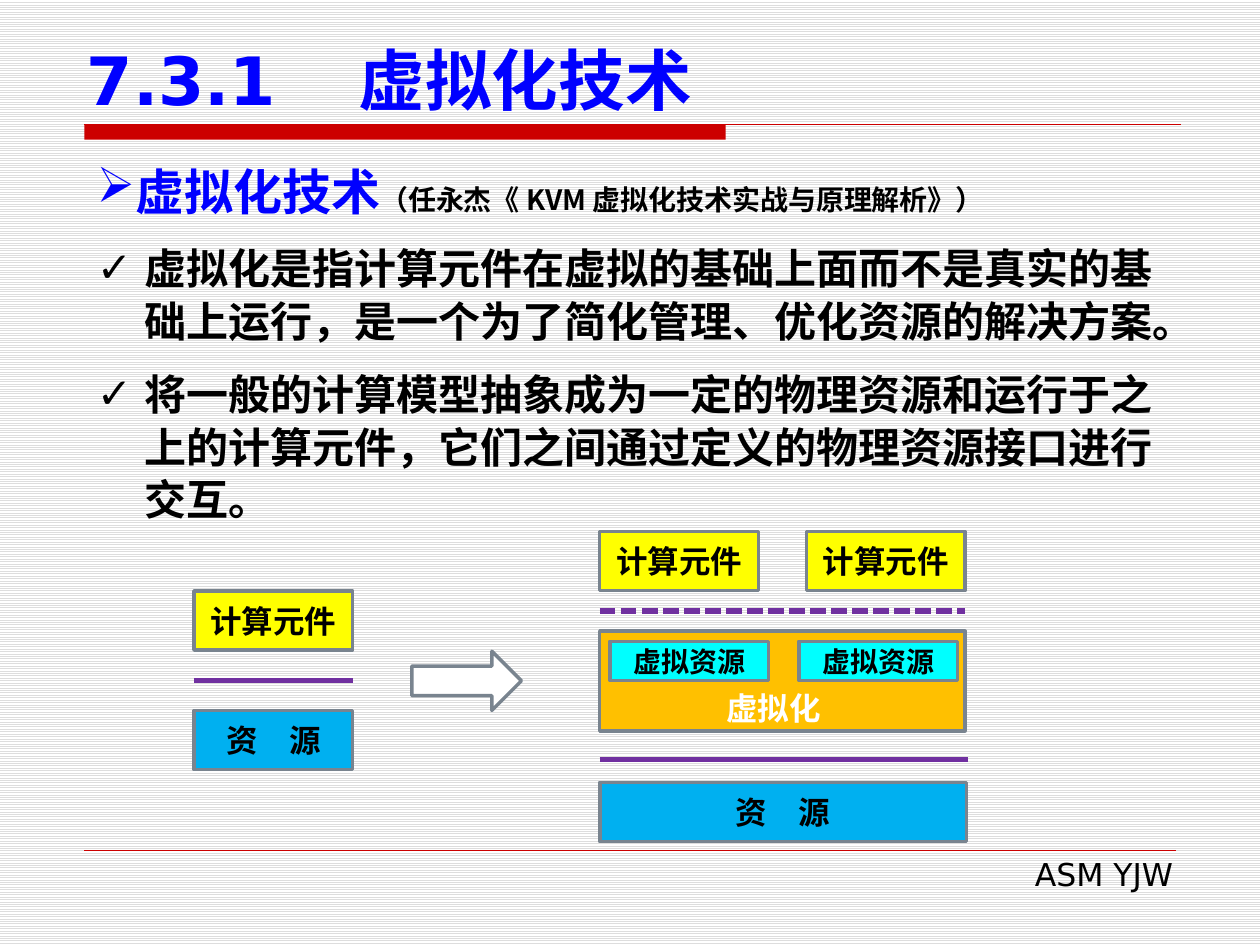
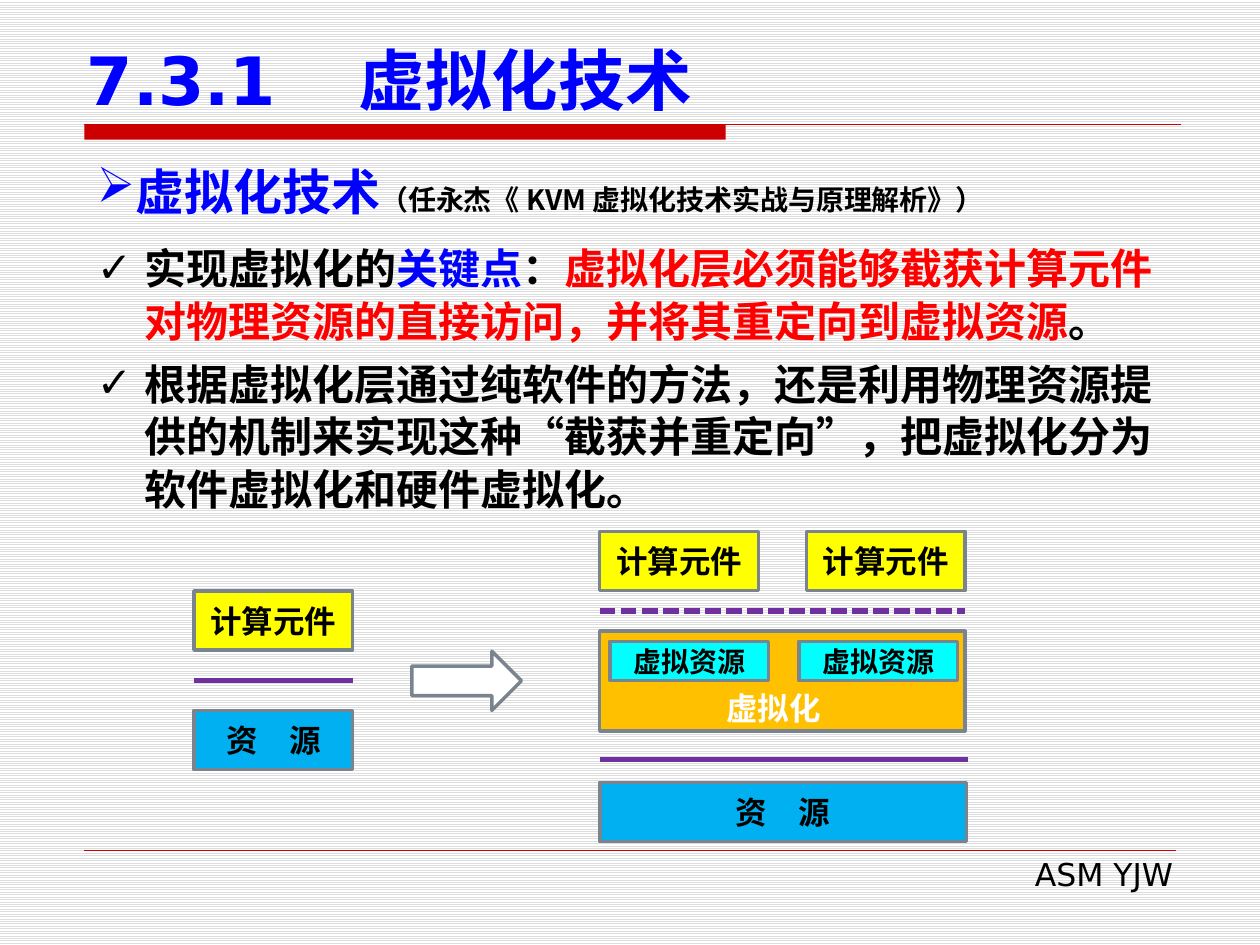
import pptx
import pptx.dml.color
import pptx.enum.dml
import pptx.enum.shapes
import pptx.enum.text
import pptx.oxml.ns
import pptx.util
from lxml import etree

Pt = pptx.util.Pt
RGBColor = pptx.dml.color.RGBColor
Align = pptx.enum.text.PP_ALIGN
Anchor = pptx.enum.text.MSO_ANCHOR
Shape = pptx.enum.shapes.MSO_SHAPE
qn = pptx.oxml.ns.qn

# Colours and fonts
BLACK = RGBColor(0x00, 0x00, 0x00)
WHITE = RGBColor(0xFF, 0xFF, 0xFF)
STRIPE = RGBColor(0xDD, 0xDD, 0xDD)
BLUE = RGBColor(0x00, 0x00, 0xFF)
RED = RGBColor(0xFF, 0x00, 0x00)
BAND_RED = RGBColor(0xCC, 0x00, 0x00)
YELLOW = RGBColor(0xFF, 0xFF, 0x00)
SKY = RGBColor(0x00, 0xB0, 0xF0)
CYAN = RGBColor(0x00, 0xFF, 0xFF)
ORANGE = RGBColor(0xFF, 0xC0, 0x00)
PURPLE = RGBColor(0x70, 0x30, 0xA0)
OUTLINE = RGBColor(0x79, 0x84, 0x8F)
LATIN_FONT = "DejaVu Sans"
CHINESE_FONT = "Noto Sans CJK SC"

# Shared measures, in points
MARGIN = 48.2
CONTENT_WIDTH = 623.5
BOX_WIDTH, BOX_HEIGHT = 90.7, 33.8

TITLE = "7.3.1　虚拟化技术"
HEADING = [("虚拟化技术", 28, LATIN_FONT, BLUE),
           ("（任永杰《KVM虚拟化技术实战与原理解析》）", 16, CHINESE_FONT, BLACK)]

# One entry per slide; each item is (space before, [(text, colour), ...])
SLIDE_ITEMS = [
    [
        (12, [("虚拟化是指计算元件在虚拟的基础上面而不是真实的基础上运行，"
               "是一个为了简化管理、优化资源的解决方案。", BLACK)]),
        (12, [("将一般的计算模型抽象成为一定的物理资源和运行于之上的计算元件，"
               "它们之间通过定义的物理资源接口进行交互。", BLACK)]),
    ],
    [
        (12, [("实现虚拟化的", BLACK), ("关键点", BLUE), ("：", BLACK),
              ("虚拟化层必须能够截获计算元件对物理资源的直接访问，"
               "并将其重定向到虚拟资源", RED), ("。", BLACK)]),
        (6, [("根据虚拟化层通过纯软件的方法，还是利用物理资源提供的机制来实现这种"
              "“截获并重定向”，把虚拟化分为软件虚拟化和硬件虚拟化。", BLACK)]),
    ],
]


def add_run(paragraph, text, size, font, color, bold=True):
    run = paragraph.add_run()
    run.text = text
    run.font.size = Pt(size)
    run.font.name = font
    run.font.bold = bold
    run.font.color.rgb = color
    if font == CHINESE_FONT:
        latin = run.font._element.find(qn("a:latin"))
        east_asian = etree.Element(qn("a:ea"), typeface=font)
        latin.addnext(east_asian)


def set_bullet(paragraph, character, indent=0):
    properties = paragraph._p.get_or_add_pPr()
    properties.set("marL", str(Pt(indent)))
    properties.set("indent", str(-Pt(indent)))
    etree.SubElement(properties, qn("a:buChar"), char=character)


def place(shape, left, top, width, height):
    shape.left, shape.top = Pt(left), Pt(top)
    shape.width, shape.height = Pt(width), Pt(height)


def add_label(shapes, left, top, width, height, align):
    text_box = shapes.add_textbox(Pt(left), Pt(top), Pt(width), Pt(height))
    text_box.text_frame.word_wrap = True
    paragraph = text_box.text_frame.paragraphs[0]
    paragraph.alignment = align
    return paragraph


def add_line(shapes, left, right, y, color, weight, dash=None):
    line = shapes.add_connector(pptx.enum.shapes.MSO_CONNECTOR.STRAIGHT,
                                Pt(left), Pt(y), Pt(right), Pt(y))
    line.line.color.rgb = color
    line.line.width = Pt(weight)
    if dash:
        line.line.dash_style = dash
    etree.SubElement(line._element.spPr, qn("a:effectLst"))


def add_block(shapes, left, top, fill, text="", width=BOX_WIDTH,
              height=BOX_HEIGHT, size=18, kind=Shape.RECTANGLE, outline=OUTLINE):
    block = shapes.add_shape(kind, Pt(left), Pt(top), Pt(width), Pt(height))
    block.shadow.inherit = False
    block.fill.solid()
    block.fill.fore_color.rgb = fill
    if outline is None:
        block.line.fill.background()
    else:
        block.line.color.rgb = outline
        block.line.width = Pt(2)
    if text:
        block.text_frame.vertical_anchor = Anchor.MIDDLE
        paragraph = block.text_frame.paragraphs[0]
        paragraph.alignment = Align.CENTER
        add_run(paragraph, text, size, LATIN_FONT, BLACK)


def set_background(master):
    fill = master.background.fill
    fill.patterned()
    fill.pattern = pptx.enum.dml.MSO_PATTERN.LIGHT_HORIZONTAL
    fill.fore_color.rgb = STRIPE
    fill.back_color.rgb = WHITE


def add_frame(slide):
    """Title band, footer rule and footer text."""
    add_block(slide.shapes, MARGIN, 71.3, BAND_RED, width=366.5, height=8.6, outline=None)
    add_line(slide.shapes, MARGIN, 674.6, 71.3, BAND_RED, 0.75)
    add_line(slide.shapes, MARGIN, 671.8, 486, BAND_RED, 0.25)
    footer = add_label(slide.shapes, 275, 485.3, 402.5, 28.8, Align.RIGHT)
    add_run(footer, "ASM YJW", 18, LATIN_FONT, BLACK, bold=False)


def fill_title(title):
    place(title, 42.5, 20.2, 652.3, 51.1)
    title.text_frame.vertical_anchor = Anchor.BOTTOM
    title.text_frame.auto_size = pptx.enum.text.MSO_AUTO_SIZE.NONE
    paragraph = title.text_frame.paragraphs[0]
    paragraph.alignment = Align.LEFT
    add_run(paragraph, TITLE, 38, LATIN_FONT, BLUE)


def add_heading(slide):
    paragraph = add_label(slide.shapes, MARGIN, 88.6, CONTENT_WIDTH, 41, Align.JUSTIFY)
    set_bullet(paragraph, "➢")
    for run in HEADING:
        add_run(paragraph, *run)


def fill_items(body, items):
    place(body, MARGIN, 133.9, CONTENT_WIDTH, 168)
    text_frame = body.text_frame
    text_frame.auto_size = pptx.enum.text.MSO_AUTO_SIZE.NONE
    for index, (space_before, runs) in enumerate(items):
        paragraph = text_frame.add_paragraph() if index else text_frame.paragraphs[0]
        paragraph.line_spacing = Pt(30)
        paragraph.space_before = Pt(space_before)
        set_bullet(paragraph, "✓", 27)
        for text, color in runs:
            add_run(paragraph, text, 24, CHINESE_FONT, color)


def add_direct_model(slide):
    """Computing element directly on a resource."""
    shapes = slide.shapes.add_group_shape().shapes
    left = 110.9
    add_block(shapes, left, 337.7, YELLOW, "计算元件")
    add_block(shapes, left, 406.1, SKY, "资　源")
    add_line(shapes, left, left + BOX_WIDTH, 388.8, PURPLE, 3)


def add_virtualized_model(slide):
    """Computing elements on a virtualization layer above the resource."""
    shapes = slide.shapes.add_group_shape().shapes
    left, width = 342.7, 208.8
    add_block(shapes, left, 447.1, SKY, "资　源", width=209.5)
    add_line(shapes, left, 553, 434.2, PURPLE, 3)
    add_block(shapes, left, 360.7, ORANGE, width=width, height=56.9)
    add_line(shapes, left, left + width, 349.2, PURPLE, 3,
             pptx.enum.dml.MSO_LINE.SQUARE_DOT)
    for element_left in (left, left + width - BOX_WIDTH):
        add_block(shapes, element_left, 303.8, YELLOW, "计算元件")
    for resource_left in (348.5, 456.5):
        add_block(shapes, resource_left, 366.5, CYAN, "虚拟资源", height=22.3, size=16)
    label = add_label(shapes, 399.6, 390.2, 85, 28.8, Align.CENTER)
    add_run(label, "虚拟化", 18, LATIN_FONT, WHITE)


def add_content_slide(presentation, items):
    slide = presentation.slides.add_slide(presentation.slide_layouts[1])
    add_frame(slide)
    fill_title(slide.shapes.title)
    add_heading(slide)
    fill_items(slide.placeholders[1], items)
    add_direct_model(slide)
    add_block(slide.shapes, 235.4, 372.2, WHITE, width=62.6, kind=Shape.RIGHT_ARROW)
    add_virtualized_model(slide)


def main():
    presentation = pptx.Presentation()
    presentation.slide_width, presentation.slide_height = Pt(720), Pt(540)
    set_background(presentation.slide_master)
    for items in SLIDE_ITEMS:
        add_content_slide(presentation, items)
    presentation.save("out.pptx")


if __name__ == "__main__":
    main()
